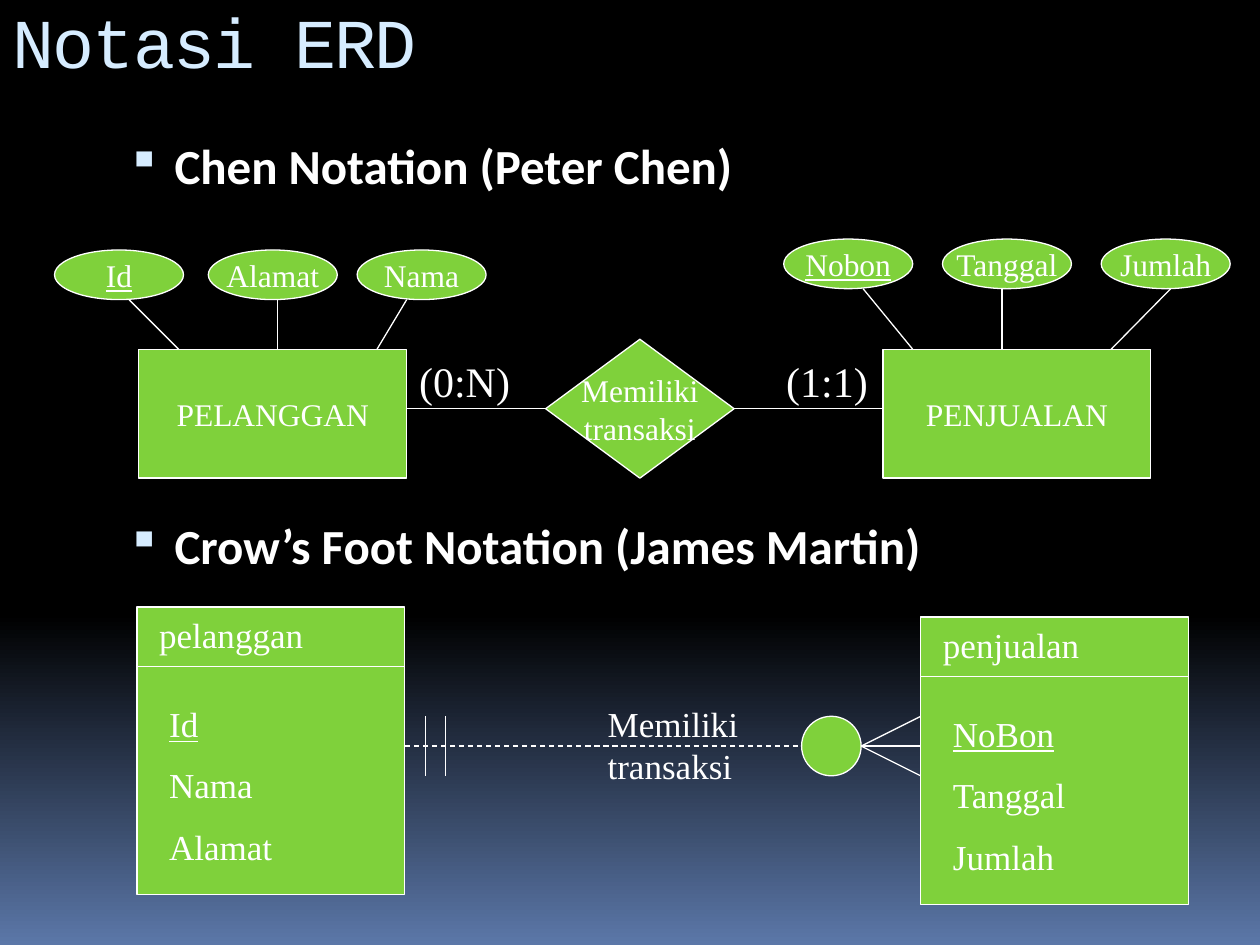
import pptx
import pptx.dml.color
import pptx.enum.dml
import pptx.enum.shapes
import pptx.enum.text
import pptx.oxml.ns
import pptx.oxml.xmlchemy
import pptx.util
from lxml import etree
from pptx.util import Cm

COLORS = {"black": "000000", "blue": "5B77A8", "title": "D6ECFF",
          "green": "7FD13B", "white": "FFFFFF"}
SERIF = "Times New Roman"
SHAPES = pptx.enum.shapes.MSO_SHAPE
ENTITY_TOP, ENTITY_WIDTH, ENTITY_HEIGHT = 7.04, 5.4, 2.6
TABLE_HEIGHT, TABLE_HEADER = 5.8, 1.2


def color(name):
    """Return the named palette colour."""
    return pptx.dml.color.RGBColor.from_string(COLORS[name])


def qualified(tag):
    """Return the full name of a drawing tag."""
    return pptx.oxml.ns.qn("a:" + tag)


def set_background(slide):
    """Fade the slide from black to blue at the bottom."""
    fill = slide.background.fill
    fill.gradient()
    fill.gradient_angle = 270
    for stop, position, name in zip(fill.gradient_stops, (0.65, 1), ("black", "blue")):
        stop.position = position
        stop.color.rgb = color(name)


def write(frame, lines, size, font=SERIF, name="white", key=None, gap=0):
    """Write one paragraph per line, underlining the key line."""
    for index, line in enumerate(lines):
        paragraph = frame.paragraphs[0] if index == 0 else frame.add_paragraph()
        paragraph.text = line
        paragraph.font.size = pptx.util.Pt(size)
        paragraph.font.name = font
        paragraph.font.color.rgb = color(name)
        if line == key:
            paragraph.font.underline = True
        if index:
            paragraph.space_before = pptx.util.Pt(gap)


def add_text(slide, left, top, width, height, lines, size, **style):
    """Add a wrapping text box and return its frame."""
    box = slide.shapes.add_textbox(Cm(left), Cm(top), Cm(width), Cm(height))
    box.text_frame.word_wrap = True
    write(box.text_frame, lines, size, **style)
    return box.text_frame


def add_node(slide, kind, left, top, width, height, lines=(), key=None):
    """Add a green outlined shape with centred text."""
    shape = slide.shapes.add_shape(kind, Cm(left), Cm(top), Cm(width), Cm(height))
    shape.shadow.inherit = False
    shape.fill.solid()
    shape.fill.fore_color.rgb = color("green")
    shape.line.color.rgb = color("white")
    shape.line.width = pptx.util.Pt(0.75)
    frame = shape.text_frame
    frame.word_wrap = False
    frame.vertical_anchor = pptx.enum.text.MSO_ANCHOR.MIDDLE
    write(frame, lines, 18, key=key)
    for paragraph in frame.paragraphs:
        paragraph.alignment = pptx.enum.text.PP_ALIGN.CENTER


def add_line(shapes, start_x, start_y, end_x, end_y, dashed=False):
    """Add a thin white line."""
    line = shapes.add_connector(pptx.enum.shapes.MSO_CONNECTOR.STRAIGHT,
                                Cm(start_x), Cm(start_y), Cm(end_x), Cm(end_y))
    line.line.color.rgb = color("white")
    line.line.width = pptx.util.Pt(0.75)
    if dashed:
        line.line.dash_style = pptx.enum.dml.MSO_LINE.DASH
    etree.SubElement(line._element.spPr, qualified("effectLst"))


def add_title(slide, text):
    """Add the slide title with slightly tightened letters."""
    frame = add_text(slide, 0, -0.4, 22.86, 3.18, [text], 40,
                     font="Courier New", name="title")
    frame.margin_top = Cm(0.38)
    properties = frame.paragraphs[0]._p.get_or_add_pPr()
    properties.find(qualified("defRPr")).set("spc", "-100")


def add_headings(slide, lines):
    """Add the bold bulleted headings of the two notations."""
    frame = add_text(slide, 2.13, 2.6, 23.27, 12.57, lines, 28, font="Calibri", gap=183.5)
    for paragraph in frame.paragraphs:
        paragraph.font.bold = True
        properties = paragraph._p.get_or_add_pPr()
        properties.set("marL", str(Cm(1.14)))
        properties.set("indent", str(Cm(-0.96)))
        font = properties.find(qualified("defRPr"))
        bullet_color = etree.Element(qualified("buClr"))
        etree.SubElement(bullet_color, qualified("srgbClr"), val=COLORS["title"])
        font.addprevious(bullet_color)
        font.addprevious(etree.Element(qualified("buSzPct"), val="95000"))
        font.addprevious(etree.Element(qualified("buChar"), char="▪"))


def add_entity(slide, left, name, attribute_top, attributes):
    """Add a Chen entity with attributes given as text, left, line start and line end."""
    add_node(slide, SHAPES.RECTANGLE, left, ENTITY_TOP, ENTITY_WIDTH, ENTITY_HEIGHT, [name])
    key = attributes[0][0]
    for text, attribute_left, start, end in attributes:
        add_node(slide, SHAPES.OVAL, attribute_left, attribute_top, 2.6, 1, [text], key)
        add_line(slide.shapes, start, attribute_top + 1, end, ENTITY_TOP)


def add_crow_table(slide, left, top, name, fields):
    """Add a Crow's Foot entity with its header and fields."""
    add_node(slide, SHAPES.RECTANGLE, left, top, ENTITY_WIDTH, TABLE_HEIGHT)
    header_bottom = top + TABLE_HEADER
    add_line(slide.shapes, left, header_bottom, left + ENTITY_WIDTH, header_bottom)
    add_text(slide, left + 0.2, top, 5.6, 1.08, [name], 20)
    add_text(slide, left + 0.4, top + 1.8, 4.4, 3.64, fields, 20, key=fields[0], gap=11)


def add_chen(slide):
    """Draw the Chen diagram."""
    add_entity(slide, 2.8, "PELANGGAN", 5.04,
               [("Id", 1.1, 2.6, 3.6), ("Alamat", 4.2, 5.6, 5.6), ("Nama", 7.2, 8.2, 7.6)])
    add_entity(slide, 17.8, "PENJUALAN", 4.82,
               [("Nobon", 15.8, 17.4, 18.4), ("Tanggal", 19, 20.2, 20.2),
                ("Jumlah", 22.2, 23.6, 22.4)])
    add_node(slide, SHAPES.DIAMOND, 11, 6.84, 3.8, 2.8, ["Memiliki", "transaksi"])
    for start, end, label_left, label in ((8.2, 11, 8.2, "(0:N)"), (14.8, 17.8, 15.6, "(1:1)")):
        add_line(slide.shapes, start, 8.24, end, 8.24)
        add_text(slide, label_left, ENTITY_TOP, 2.4, 1.27, [label], 24)


def add_crows_foot(slide):
    """Draw the Crow's Foot diagram."""
    add_crow_table(slide, 2.76, 12.24, "pelanggan", ["Id", "Nama", "Alamat"])
    add_crow_table(slide, 18.56, 12.44, "penjualan", ["NoBon", "Tanggal", "Jumlah"])
    middle, reach = 15.04, 0.6
    add_line(slide.shapes, 8.16, middle, 18.56, middle, dashed=True)
    add_text(slide, 12, 14.04, 3.6, 1.96, ["Memiliki transaksi"], 20)
    for bar in (8.58, 8.98):
        add_line(slide.shapes, bar, middle - reach, bar, middle + reach)
    add_node(slide, SHAPES.OVAL, 16.16, middle - reach, 2 * reach, 2 * reach)
    foot = slide.shapes.add_group_shape()
    for offset in (-reach, 0, reach):
        add_line(foot.shapes, 17.36, middle, 18.56, middle + offset)


def main():
    """Build and save the slide."""
    presentation = pptx.Presentation()
    presentation.slide_width, presentation.slide_height = Cm(25.4), Cm(19.05)
    slide = presentation.slides.add_slide(presentation.slide_layouts[6])
    set_background(slide)
    add_title(slide, "Notasi ERD")
    add_headings(slide, ["Chen Notation (Peter Chen)", "Crow’s Foot Notation (James Martin)"])
    add_chen(slide)
    add_crows_foot(slide)
    presentation.save("out.pptx")


if __name__ == "__main__":
    main()
